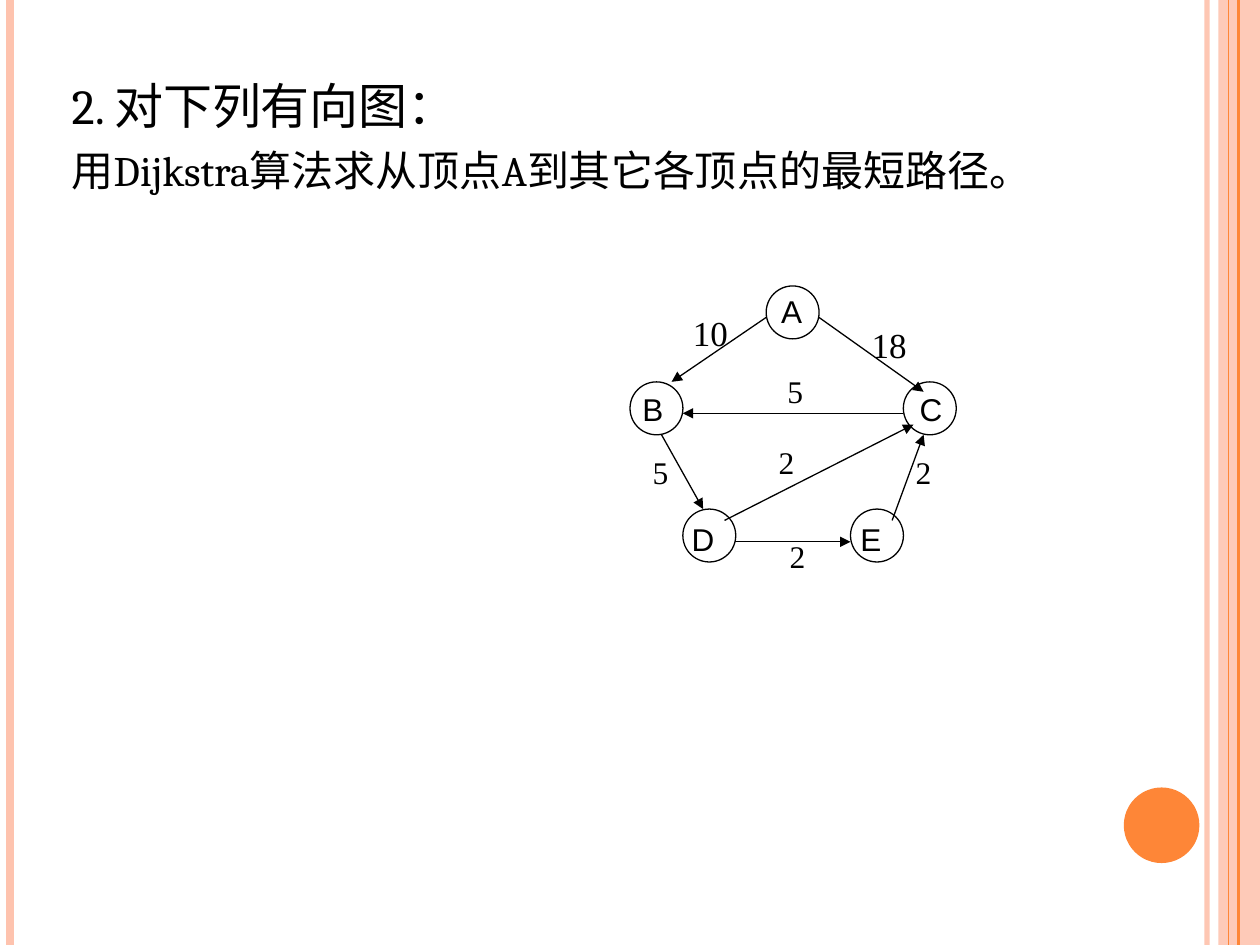
"""Build a slide that asks for Dijkstra shortest paths on a directed graph."""
from lxml import etree
from pptx import Presentation
from pptx.dml.color import RGBColor
from pptx.enum.shapes import MSO_CONNECTOR, MSO_SHAPE
from pptx.enum.text import MSO_ANCHOR, MSO_AUTO_SIZE
from pptx.oxml.ns import qn
from pptx.util import Pt

LINE = MSO_CONNECTOR.STRAIGHT
OVAL, RECT = MSO_SHAPE.OVAL, MSO_SHAPE.RECTANGLE
TOP, NO_FIT = MSO_ANCHOR.TOP, MSO_AUTO_SIZE.NONE

COLORS = {"ink": "000000", "peach": "FEC3AE", "orange": "FE8637"}
SLIDE_W, SLIDE_H = 720, 540
NODE_SIZE = 30.24

BODY = [("2. 对下列有向图：", 28, 0),
        ("用Dijkstra算法求从顶点A到其它各顶点的最短路径。", 24, 6)]
RAILS = [(689.8, "peach", 3, 93), (5.8, "peach", 4.5, 100),
         (707.8, "orange", 1.5, 100), (702, "orange", 0.75, 100)]
NODES = [("A", (437.8, 163.4), (439.2, 163.4)),
         ("B", (360, 218.2), (360, 219.6)),
         ("C", (516.2, 218.2), (518.4, 219.6)),
         ("D", (390.2, 290.9), (388.1, 293.8)),
         ("E", (486, 290.9), (484.6, 293.8))]
EDGES = [("10", (437.8, 181.4), (383.8, 218.2), (388.8, 174.2)),
         ("18", (468, 181.4), (527.8, 223.9), (491, 181.4)),
         ("5", (516.2, 236.2), (390.2, 236.2), (442.8, 208.8)),
         ("2", (414, 297.4), (522, 242.6), (437.8, 249.8)),
         ("2", (509.8, 297.4), (527.8, 248.4), (516.2, 255.6)),
         ("2", (419.8, 309.6), (486, 309.6), (444.2, 303.1)),
         ("5", (378, 248.4), (401.8, 290.9), (365.8, 255.6))]


def rgb(name):
    """Return the named colour."""
    return RGBColor.from_string(COLORS[name])


def set_alpha(sp, percent):
    """Make the first solid colour of a shape partly transparent."""
    color = sp._element.spPr.find(".//" + qn("a:srgbClr"))
    etree.SubElement(color, qn("a:alpha"), val=str(percent * 1000))


def format_text(p, text, size, font):
    """Write one run in a paragraph and format it."""
    r = p.add_run()
    r.text = text
    for name, value in {"name": font, "size": Pt(size), "bold": False}.items():
        setattr(r.font, name, value)
    r.font.color.rgb = rgb("ink")


def add_line(s, start, end, color="ink", width=0.75, alpha=100, arrow=False):
    """Add a straight line, with an arrowhead at its end if asked."""
    sp = s.shapes.add_connector(LINE, *map(Pt, start + end))
    sp.line.color.rgb = rgb(color)
    sp.line.width = Pt(width)
    if alpha < 100:
        set_alpha(sp, alpha)
    if arrow:
        etree.SubElement(sp.line._get_or_add_ln(), qn("a:tailEnd"), type="triangle")
    etree.SubElement(sp._element.spPr, qn("a:effectLst"))


def add_solid(s, kind, box, color):
    """Add a filled shape without an outline."""
    sp = s.shapes.add_shape(kind, *map(Pt, box))
    sp.shadow.inherit = False
    sp.fill.solid()
    sp.fill.fore_color.rgb = rgb(color)
    sp.line.fill.background()
    return sp


def add_node(s, at):
    """Add the circle of a vertex."""
    sp = s.shapes.add_shape(OVAL, *map(Pt, at + (NODE_SIZE, NODE_SIZE)))
    sp.shadow.inherit = False
    sp.fill.background()
    sp.line.color.rgb = rgb("ink")
    sp.line.width = Pt(0.75)


def add_label(s, text, at, width, size, font):
    """Add the text of a vertex or an edge."""
    tf = s.shapes.add_textbox(*map(Pt, at + (width, size * 1.6))).text_frame
    tf.word_wrap = True
    format_text(tf.paragraphs[0], text, size, font)


def fill_body(sp):
    """Place the body placeholder and write the question in it."""
    box = {"left": 33.8, "top": 39.6, "width": 607.7, "height": 445}
    for name, value in box.items():
        setattr(sp, name, Pt(value))
    tf = sp.text_frame
    for name, value in {"vertical_anchor": TOP, "auto_size": NO_FIT}.items():
        setattr(tf, name, value)
    for i, (text, size, before) in enumerate(BODY):
        p = tf.add_paragraph() if i else tf.paragraphs[0]
        pPr = p._p.get_or_add_pPr()
        pPr.set("marL", str(Pt(21.6)))
        pPr.set("indent", str(Pt(-21.6)))
        etree.SubElement(pPr, qn("a:buNone"))
        p.space_before = Pt(before)
        format_text(p, text, size, "Cambria")


def add_decoration(s):
    """Add the rails, the side band and the dot."""
    band = add_solid(s, RECT, (696.2, 0, 23.8, SLIDE_H), "peach")
    set_alpha(band, 87)
    for x, color, width, alpha in RAILS:
        add_line(s, (x, 0), (x, SLIDE_H), color, width, alpha)
    add_solid(s, OVAL, (642.2, 450, 43.2, 43.2), "orange")


def add_graph(s):
    """Add the vertices, the weighted edges and their labels."""
    for _, at, _ in NODES:
        add_node(s, at)
    for weight, start, end, at in EDGES:
        add_line(s, start, end, arrow=True)
        width, size = (49, 20) if len(weight) > 1 else (23.8, 18)
        add_label(s, weight, at, width, size, "Times New Roman")
    for name, _, at in NODES:
        add_label(s, name, at, 23, 18, "Arial")


def main():
    """Build and save the slide."""
    prs = Presentation()
    prs.slide_width, prs.slide_height = Pt(SLIDE_W), Pt(SLIDE_H)
    s = prs.slides.add_slide(prs.slide_layouts[1])
    title = s.shapes.title._element
    title.getparent().remove(title)
    fill_body(s.placeholders[1])
    add_decoration(s)
    add_graph(s)
    prs.save("out.pptx")


if __name__ == "__main__":
    main()
